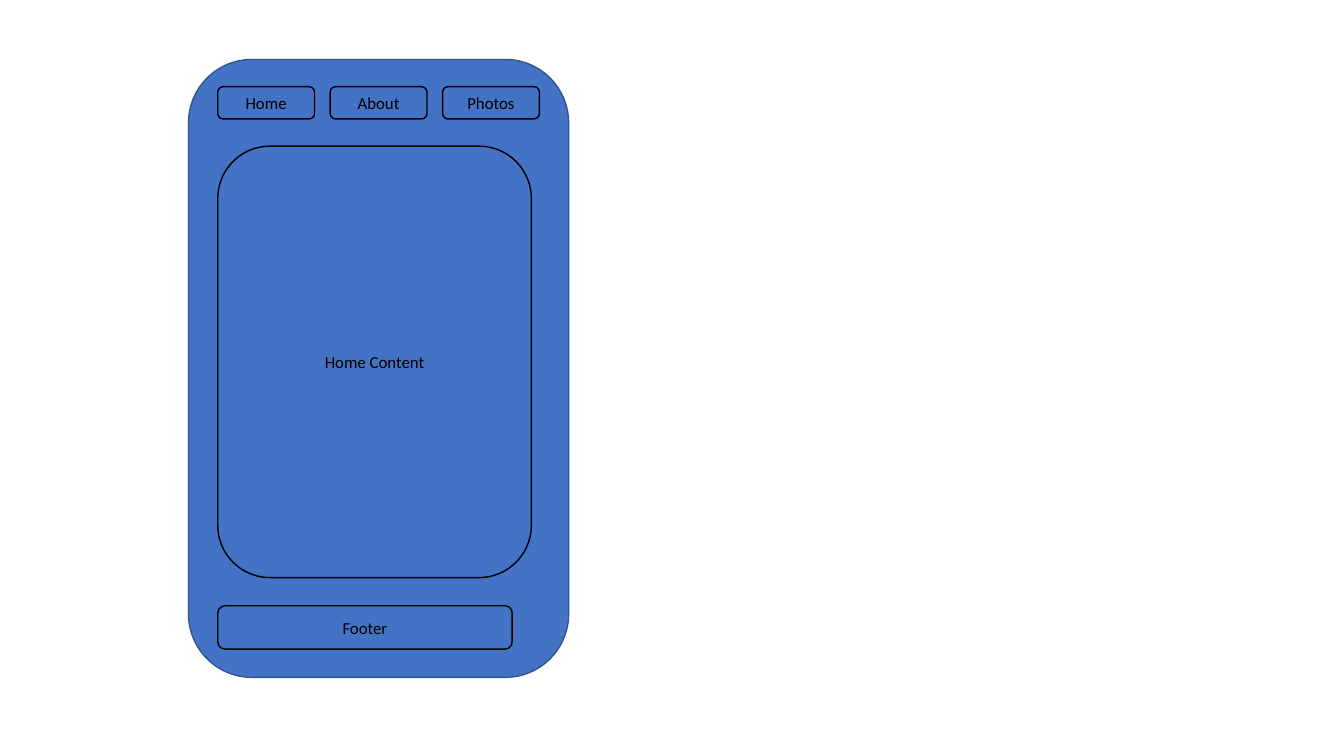
from pptx import Presentation
from pptx.dml.color import RGBColor
from pptx.enum import shapes, text
from pptx.util import Inches, Pt

COLORS = {"phone": "4472C4", "phone_edge": "325491", "ink": "000000"}

prs = Presentation()
prs.slide_width, prs.slide_height = Inches(13.33), Inches(7.5)
s = prs.slides.add_slide(prs.slide_layouts[6])


def add_panel(left, top, width, height, line, fill=None, label=None):
    """Add a rounded panel with an optional fill and centred label."""
    sp = s.shapes.add_shape(
        shapes.MSO_SHAPE.FLOWCHART_ALTERNATE_PROCESS,
        Inches(left), Inches(top), Inches(width), Inches(height))
    sp.shadow.inherit = False
    sp.line.color.rgb = RGBColor.from_string(COLORS[line])
    sp.line.width = Pt(1)
    if fill:
        sp.fill.solid()
        sp.fill.fore_color.rgb = RGBColor.from_string(COLORS[fill])
    else:
        sp.fill.background()
    if label:
        tf = sp.text_frame
        tf.word_wrap = True
        tf.vertical_anchor = text.MSO_ANCHOR.MIDDLE
        p = tf.paragraphs[0]
        p.alignment = text.PP_ALIGN.CENTER
        r = p.add_run()
        r.text = label
        r.font.name = "Calibri"
        r.font.size = Pt(12)
        r.font.color.rgb = RGBColor.from_string(COLORS["ink"])


# Phone body
add_panel(1.87, 0.59, 3.77, 6.13, "phone_edge", fill="phone")

# Navigation buttons
content_left = 2.16
button_pitch = 1.115
for i, label in enumerate(["Home", "About", "Photos"]):
    add_panel(content_left + i * button_pitch, 0.86, 0.96, 0.32, "ink", label=label)

# Page content and footer
for label, top, width, height in [("Home Content", 1.45, 3.11, 4.28),
                                  ("Footer", 6.01, 2.92, 0.43)]:
    add_panel(content_left, top, width, height, "ink", label=label)

prs.save("out.pptx")
